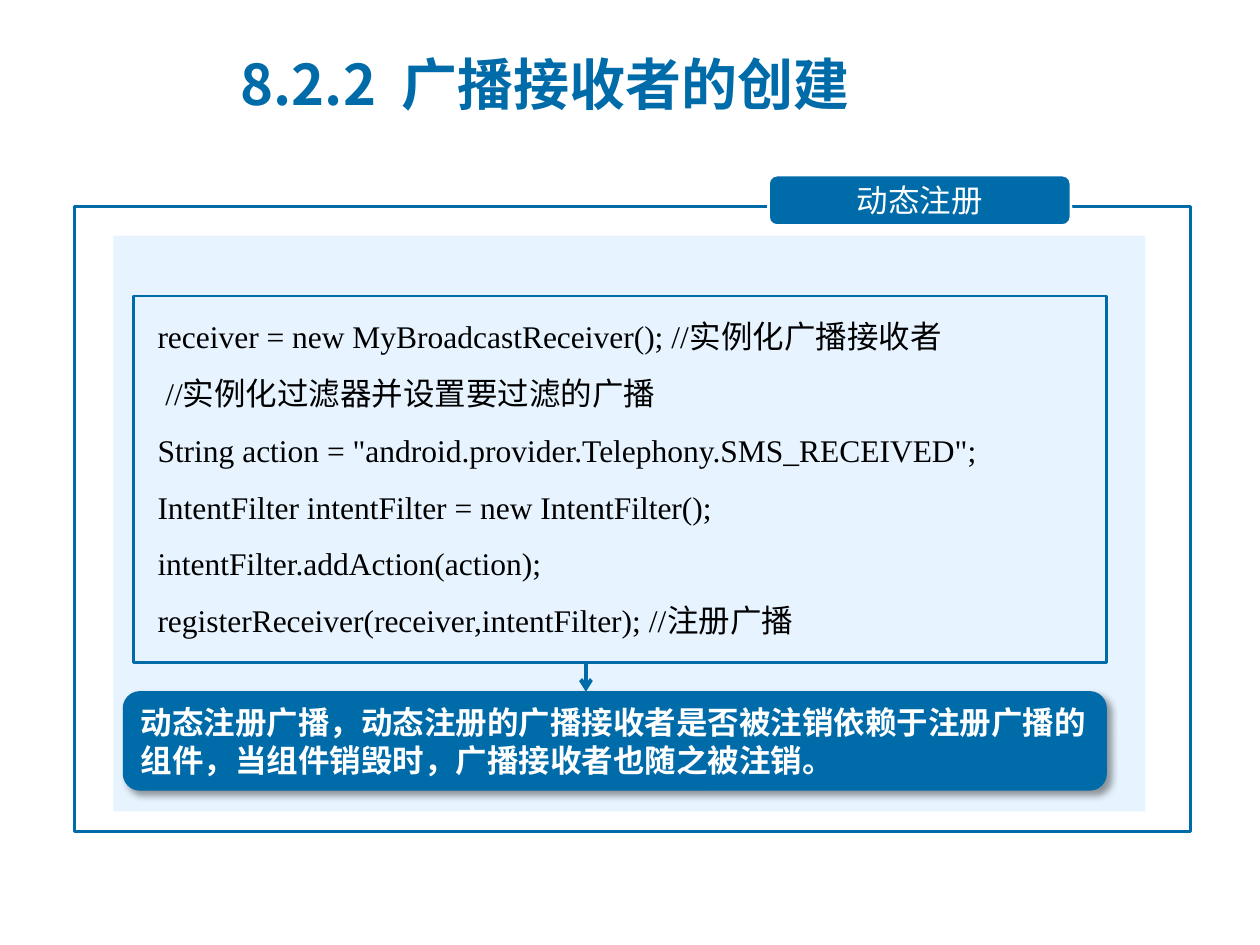
from lxml import etree
from pptx import Presentation
from pptx.dml.color import RGBColor
from pptx.enum.shapes import MSO_CONNECTOR, MSO_SHAPE
from pptx.enum.text import MSO_ANCHOR, PP_ALIGN
from pptx.oxml.ns import qn
from pptx.util import Inches, Pt

RECT, ROUND = MSO_SHAPE.RECTANGLE, MSO_SHAPE.ROUNDED_RECTANGLE
LEFT, CENTER = PP_ALIGN.LEFT, PP_ALIGN.CENTER
TOP, MIDDLE = MSO_ANCHOR.TOP, MSO_ANCHOR.MIDDLE
INK = {"blue": "006BA9", "pale": "E7F4FF", "white": "FFFFFF", "black": "000000"}
SANS = "Noto Sans CJK SC"


def color(name):
    return RGBColor.from_string(INK[name])


def write(shape, text, font=SANS, size=18, ink="white", bold=False,
          align=LEFT, anchor=MIDDLE, space=1.0, pad=(0.1, 0.05)):
    frame = shape.text_frame
    frame.word_wrap = True
    frame.vertical_anchor = anchor
    frame.margin_left = frame.margin_right = Inches(pad[0])
    frame.margin_top, frame.margin_bottom = Inches(pad[1]), Inches(0.05)
    frame.text = text
    for para in frame.paragraphs:
        para.alignment = align
        para.line_spacing = space
        face = para.runs[0].font
        face.name, face.size, face.bold = font, Pt(size), bold
        face.color.rgb = color(ink)


deck = Presentation()
deck.slide_width, deck.slide_height = Inches(10), Inches(7.5)
slide = deck.slides.add_slide(deck.slide_layouts[5])

title = slide.shapes.title
title.left, title.top = Inches(1.81), Inches(0.24)
title.width, title.height = Inches(5.63), Inches(0.84)
write(title, "8.2.2  广播接收者的创建", size=32, ink="blue", bold=True)

boxes = {}
for name, kind, at, fill, line, width in [
    ("panel", RECT, (0.9, 1.87, 8.19, 4.57), "pale", None, 0),
    ("frame", RECT, (0.59, 1.64, 8.86, 4.96), None, "blue", 1.5),
    ("tag", ROUND, (6.1, 1.39, 2.4, 0.4), "blue", "white", 1.5),
    ("code", RECT, (1.06, 2.35, 7.72, 2.91), None, "blue", 1.5),
    ("note", ROUND, (0.98, 5.49, 7.8, 0.78), "blue", "blue", 0.75),
]:
    box = slide.shapes.add_shape(kind, *map(Inches, at))
    box.shadow.inherit = False
    if fill:
        box.fill.solid()
        box.fill.fore_color.rgb = color(fill)
    else:
        box.fill.background()
    if line:
        box.line.color.rgb = color(line)
        box.line.width = Pt(width)
    else:
        box.line.fill.background()
    boxes[name] = box

lines = [
    "receiver = new MyBroadcastReceiver(); //实例化广播接收者",
    " //实例化过滤器并设置要过滤的广播",
    'String action = "android.provider.Telephony.SMS_RECEIVED";',
    "IntentFilter intentFilter = new IntentFilter();",
    "intentFilter.addAction(action);",
    "registerReceiver(receiver,intentFilter); //注册广播",
]
write(boxes["panel"], "\n".join(lines), font="Times New Roman", ink="black",
      anchor=TOP, space=1.5, pad=(0.35, 0.5))
write(boxes["tag"], "动态注册", align=CENTER, pad=(0.24, 0.05))
write(boxes["note"], "动态注册广播，动态注册的广播接收者是否被注销依赖于注册广播的"
      "组件，当组件销毁时，广播接收者也随之被注销。", font="Arial", bold=True)

glow = boxes["note"].element.spPr.find(qn("a:effectLst"))
shade = etree.SubElement(glow, qn("a:outerShdw"), blurRad=str(Pt(4)),
                         dist=str(Pt(3)), dir="2700000", algn="tl", rotWithShape="0")
tint = etree.SubElement(shade, qn("a:srgbClr"), val=INK["black"])
etree.SubElement(tint, qn("a:alpha"), val="40000")

arrow = slide.shapes.add_connector(MSO_CONNECTOR.STRAIGHT, Inches(4.65), Inches(5.26),
                                   Inches(4.65), Inches(5.49))
arrow.line.color.rgb = color("blue")
arrow.line.width = Pt(2.25)
etree.SubElement(arrow.line._get_or_add_ln(), qn("a:tailEnd"), type="arrow")
etree.SubElement(arrow.element.spPr, qn("a:effectLst"))

deck.save("out.pptx")
